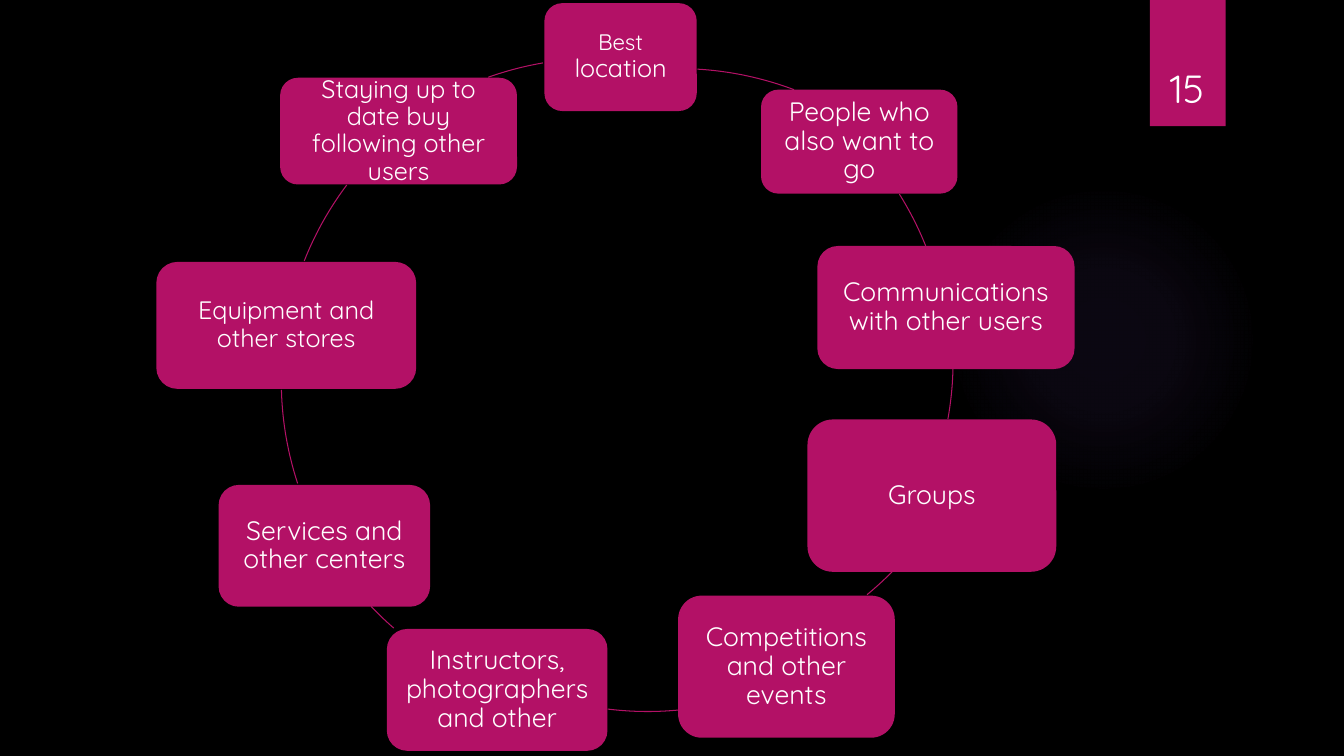
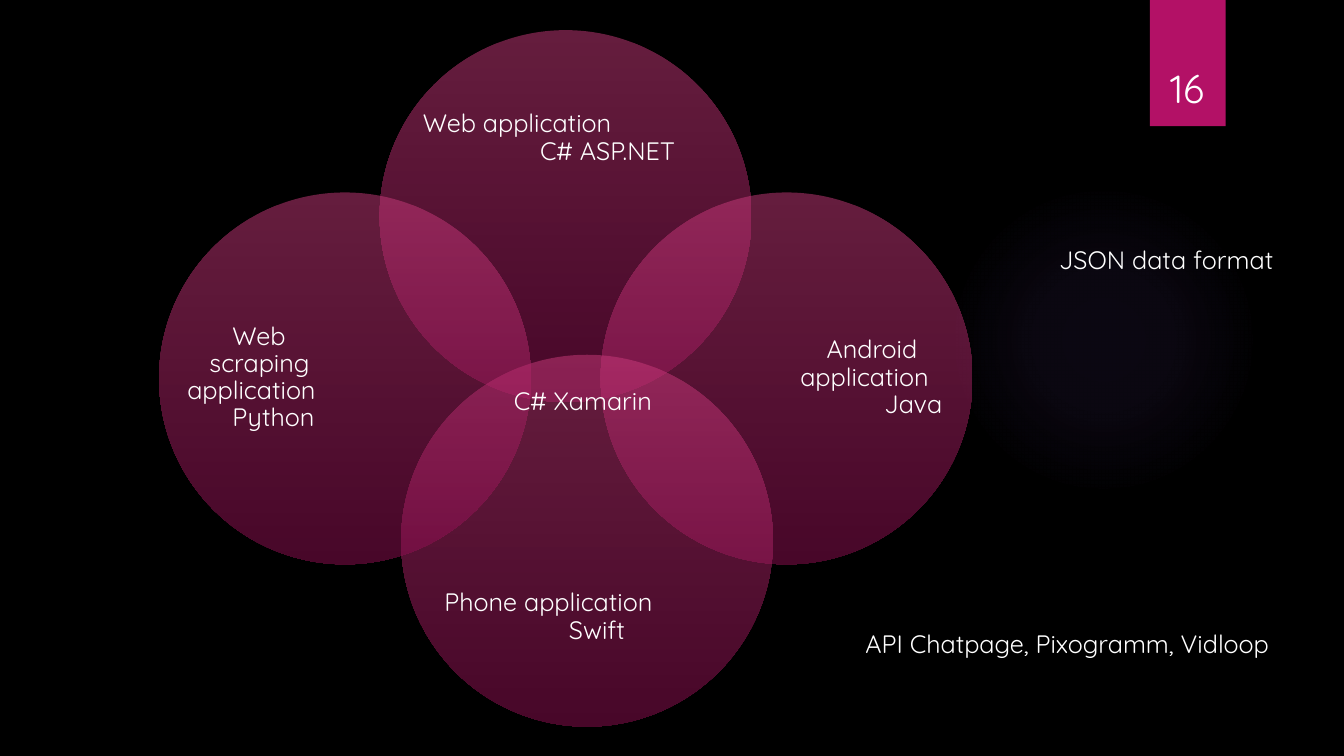
from dataclasses import dataclass

from pptx import Presentation
from pptx.dml.color import RGBColor
from pptx.enum.shapes import MSO_SHAPE
from pptx.enum.text import MSO_ANCHOR, PP_ALIGN
from pptx.oxml import parse_xml
from pptx.oxml.ns import nsdecls
from pptx.util import Cm, Pt


@dataclass(frozen=True)
class Theme:
    font: str = "Quicksand"
    background: str = "000000"
    text: str = "FFFFFF"
    accent: str = "B31166"
    glow: str = "9B6BF2"
    circle_top: str = "CB3B7C"
    circle_bottom: str = "900E52"
    small: int = 16
    body: int = 18
    large: int = 19
    number: int = 28
    hairline: float = 0.75


THEME = Theme()
RING = 16.48
CIRCLE = 9.37

NODES = [
    ((9.78, 0, 3.84, 2.72), [("Best ", THEME.small), ("location", THEME.body)]),
    ((15.24, 2.18, 4.95, 2.62), [("People who also want to go", THEME.large)]),
    ((16.66, 6.12, 6.48, 3.1), [("Communications with other users", THEME.large)]),
    ((16.41, 10.49, 6.27, 3.84), [("Groups", THEME.large)]),
    ((13.15, 14.93, 5.46, 3.58), [("Competitions and other events", THEME.large)]),
    ((5.81, 15.77, 5.56, 3.07), [("Instructors, photographers and other", THEME.large)]),
    ((1.57, 12.14, 5.33, 3.07), [("Services and other centers", THEME.large)]),
    ((0, 6.52, 6.55, 3.2), [("Equipment and other stores", THEME.body)]),
    ((3.12, 1.88, 5.97, 2.69), [("Staying up to date buy following other users", THEME.body)]),
]

ARCS = [
    (4.92, 1.65, 273.3, 290.7),
    (3.5, 0.94, 328, 338.2),
    (3.6, 0.78, 1.3, 10.2),
    (4.44, 0.3, 44.6, 50.6),
    (4.14, 1.37, 84.6, 97),
    (3.15, 1.29, 131, 136.5),
    (3.15, 1.29, 161.8, 178.5),
    (3.15, 1.29, 201.6, 216.9),
    (2.89, 1.39, 250.4, 260.3),
]

WIDE = (7.21, 2.97)
TALL = (3.61, 7.21)
CIRCLES = [
    ((5.56, 0), (1.09, 1.24), WIDE, [("Web application", 0), ("C# ASP.NET", 2.95)]),
    ((11.13, 4.09), (5.03, 1.07), TALL, [("Android", 0.66), ("application", 0), ("Java", 2.12)]),
    ((6.1, 8.18), (1.09, 5.13), WIDE, [("Phone application", 0), ("Swift", 3.14)]),
    ((0, 4.09), (0.71, 1.07), TALL,
     [("Web", 1.14), ("scraping", 0.56), ("application", 0), ("Python", 1.14)]),
]

LABELS = [
    ((12.7, 9.58, 4.24, 1.02), "C# Xamarin"),
    ((26.44, 6.02, 6.12, 1.02), "JSON data format"),
    ((21.56, 15.7, 11.43, 1.02), "API Chatpage, Pixogramm, Vidloop"),
]


def add_shape(slide, kind, box, fill=None, line=None):
    sp = slide.shapes.add_shape(kind, *map(Cm, box))
    sp.shadow.inherit = False
    if fill:
        sp.fill.solid()
        sp.fill.fore_color.rgb = RGBColor.from_string(fill)
    if line:
        sp.fill.background()
        sp.line.color.rgb = RGBColor.from_string(line)
        sp.line.width = Pt(THEME.hairline)
    else:
        sp.line.fill.background()
    return sp


def add_gradient_circle(slide, box, stops, direction):
    sp = add_shape(slide, MSO_SHAPE.OVAL, box)
    stop_xml = "".join(
        f'<a:gs pos="{pos * 1000}"><a:srgbClr val="{color}">'
        f'<a:alpha val="{alpha * 1000}"/></a:srgbClr></a:gs>'
        for pos, color, alpha in stops
    )
    gradient = parse_xml(
        f'<a:gradFill {nsdecls("a")} rotWithShape="1">'
        f"<a:gsLst>{stop_xml}</a:gsLst>{direction}</a:gradFill>"
    )
    sp._element.spPr.insert(2, gradient)
    return sp


def write_text(sp, paragraphs, size=THEME.body, align=PP_ALIGN.LEFT, anchor=MSO_ANCHOR.MIDDLE,
               insets=(0, 0), spacing=None, wrap=True):
    tf = sp.text_frame
    tf.word_wrap = wrap
    tf.vertical_anchor = anchor
    tf.margin_left = tf.margin_right = Cm(insets[0])
    tf.margin_top = tf.margin_bottom = Cm(insets[1])
    for i, (runs, indent) in enumerate(paragraphs):
        p = tf.add_paragraph() if i else tf.paragraphs[0]
        p.alignment = align
        if spacing:
            p.line_spacing = spacing
        if indent:
            pPr = p._p.get_or_add_pPr()
            pPr.set("marL", str(Cm(indent)))
            pPr.set("indent", "0")
        for text, run_size in [(runs, size)] if isinstance(runs, str) else runs:
            r = p.add_run()
            r.text = text
            r.font.name = THEME.font
            r.font.size = Pt(run_size)
            r.font.color.rgb = RGBColor.from_string(THEME.text)


def add_text(slide, box, paragraphs, **fmt):
    write_text(slide.shapes.add_textbox(*map(Cm, box)), paragraphs, **fmt)


def add_slide(prs, number):
    slide = prs.slides.add_slide(prs.slide_layouts[6])
    add_gradient_circle(
        slide, (23.9, 4.65, 7.82, 7.82),
        [(0, THEME.glow, 7), (36, THEME.glow, 6), (69, THEME.glow, 0)],
        '<a:path path="circle"><a:fillToRect l="50000" t="50000" r="50000" b="50000"/></a:path>',
    )
    add_shape(slide, MSO_SHAPE.RECTANGLE, (28.98, 0, 1.91, 3.18), fill=THEME.accent)
    add_text(slide, (28.75, 0.81, 2.34, 2.13), [(str(number), 0)], size=THEME.number,
             align=PP_ALIGN.CENTER, anchor=MSO_ANCHOR.BOTTOM, insets=(0.25, 0.13))
    return slide


def add_cycle(slide, left, top):
    for x, y, start, end in ARCS:
        sp = add_shape(slide, MSO_SHAPE.ARC, (left + x, top + y, RING, RING), line=THEME.accent)
        for i, degrees in enumerate((start, end)):
            sp.adjustments[i] = degrees * 0.6
    for (x, y, width, height), runs in NODES:
        sp = add_shape(slide, MSO_SHAPE.ROUNDED_RECTANGLE,
                       (left + x, top + y, width, height), fill=THEME.accent)
        write_text(sp, [(runs, 0)], align=PP_ALIGN.CENTER, insets=(0.19, 0.19), spacing=0.9)


def add_venn(slide, left, top):
    for (x, y), (dx, dy), size, lines in CIRCLES:
        add_gradient_circle(
            slide, (left + x, top + y, CIRCLE, CIRCLE),
            [(0, THEME.circle_top, 50), (100, THEME.circle_bottom, 50)],
            '<a:lin ang="5400000" scaled="0"/>',
        )
        add_text(slide, (left + x + dx, top + y + dy, *size), lines, spacing=0.9)


def add_labels(slide):
    for box, text in LABELS:
        add_text(slide, box, [(text, 0)], anchor=MSO_ANCHOR.TOP, insets=(0.25, 0.13), wrap=False)


def main():
    prs = Presentation()
    prs.slide_width, prs.slide_height = Cm(33.87), Cm(19.05)
    background = prs.slide_master.background.fill
    background.solid()
    background.fore_color.rgb = RGBColor.from_string(THEME.background)

    add_cycle(add_slide(prs, 15), 3.94, 0.08)

    slide = add_slide(prs, 16)
    add_venn(slide, 4.01, 0.76)
    add_labels(slide)

    prs.save("out.pptx")


if __name__ == "__main__":
    main()
